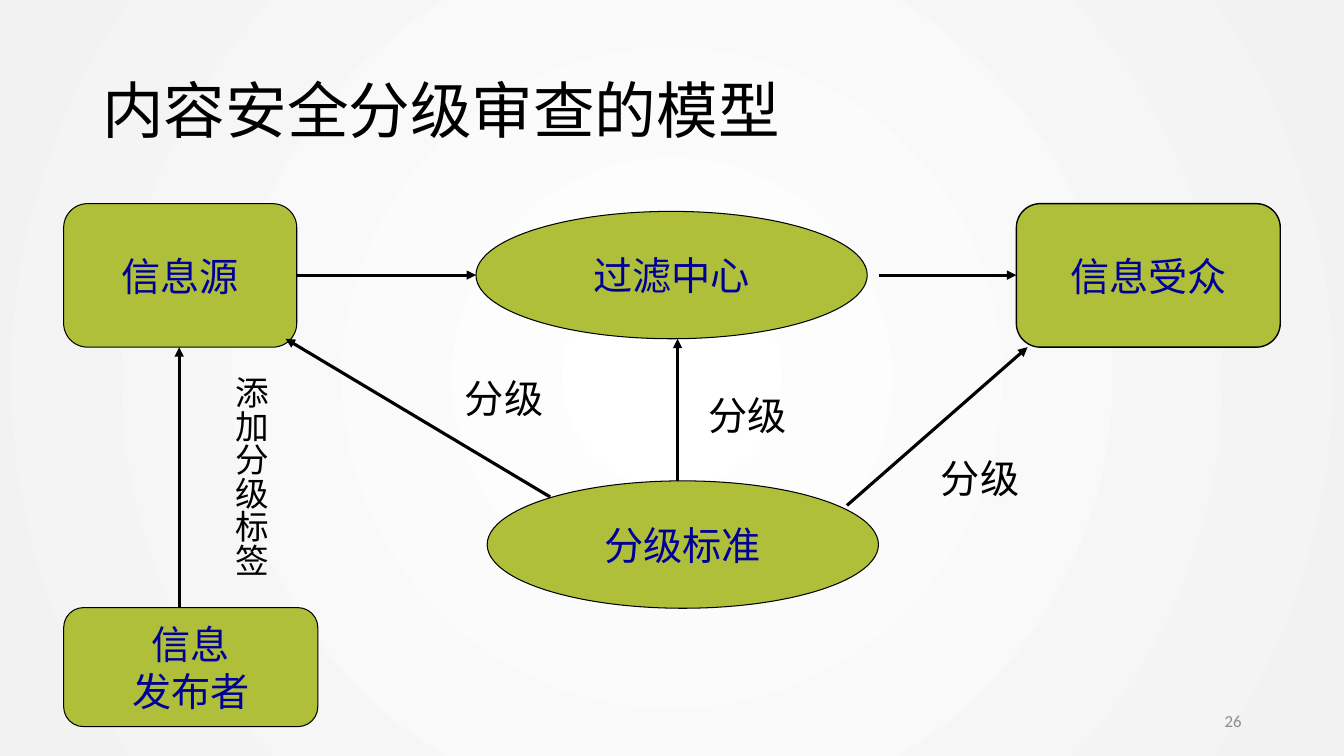
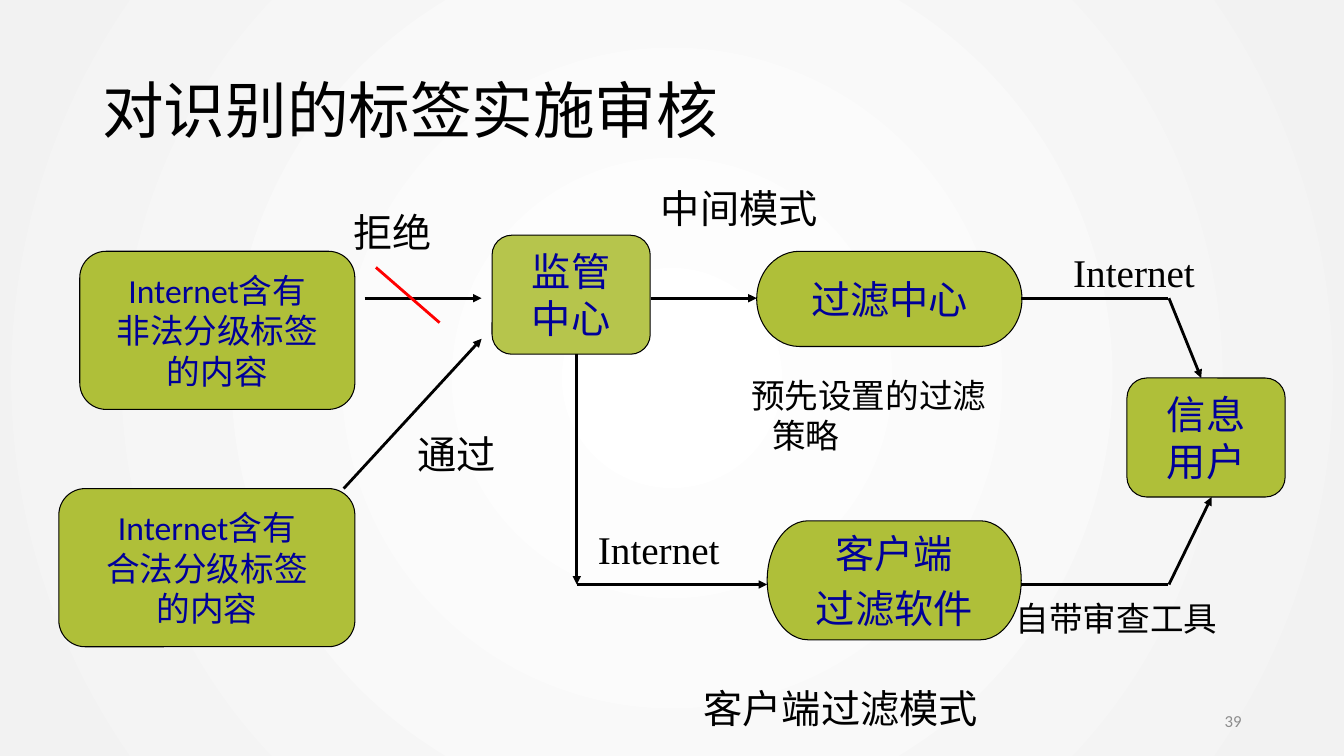
from dataclasses import dataclass

from pptx import Presentation
from pptx.dml.color import RGBColor
from pptx.enum import shapes, text
from pptx.oxml.ns import qn
from pptx.oxml.xmlchemy import OxmlElement
from pptx.util import Pt

KIND = shapes.MSO_SHAPE
ALIGN = text.PP_ALIGN
MID = text.MSO_ANCHOR.MIDDLE


@dataclass(frozen=True)
class Theme:
    black: RGBColor = RGBColor(0, 0, 0)
    white: RGBColor = RGBColor(255, 255, 255)
    edge: RGBColor = RGBColor(0xF2, 0xF2, 0xF2)
    green: RGBColor = RGBColor(0xAF, 0xBF, 0x39)
    navy: RGBColor = RGBColor(0, 0, 0x99)
    red: RGBColor = RGBColor(255, 0, 0)
    gray: RGBColor = RGBColor(0x8C, 0x8C, 0x8C)
    sans: str = "Calibri"
    serif: str = "Times New Roman"
    head: int = 44
    big: int = 28
    mid: int = 24
    foot: int = 12


T = Theme()


def node(up, tag, **attrs):
    """Append a child element with the given attributes."""
    kid = OxmlElement(tag)
    for key, val in attrs.items():
        kid.set(key, str(val))
    up.append(kid)
    return kid


def write(shape, words, size, color, font, align=ALIGN.LEFT):
    frame = shape.text_frame
    frame.text = words
    for para in frame.paragraphs:
        para.alignment = align
        for run in para.runs:
            run.font.size = Pt(size)
            run.font.name = font
            run.font.color.rgb = color
    return frame


def label(slide, words, x, y, wide, high=41, size=T.big, color=T.black,
          font=T.serif, align=ALIGN.LEFT):
    area = slide.shapes.add_textbox(Pt(x), Pt(y), Pt(wide), Pt(high))
    frame = write(area, words, size, color, font, align)
    frame.word_wrap = True
    return frame


def hang(frame, left, first):
    """Indent the lines by left, and the first line by left + first."""
    for para in frame.paragraphs:
        props = para._p.get_or_add_pPr()
        props.set("marL", str(Pt(left)))
        props.set("indent", str(Pt(first)))


def box(slide, kind, words, x, y, wide, high, size=T.big, font=T.sans,
        gap=0, edge=0.75, alpha=None):
    shape = slide.shapes.add_shape(kind, Pt(x), Pt(y), Pt(wide), Pt(high))
    shape.shadow.inherit = False
    shape.fill.solid()
    shape.fill.fore_color.rgb = T.green
    if alpha:
        tint = shape.element.spPr.find(qn("a:solidFill"))[0]
        node(tint, "a:alpha", val=alpha * 1000)
    shape.line.color.rgb = T.black
    shape.line.width = Pt(edge)
    frame = write(shape, words, size, T.navy, font, ALIGN.CENTER)
    frame.word_wrap = False
    frame.vertical_anchor = MID
    for para in frame.paragraphs[1:]:
        para.space_before = Pt(gap)


def line(slide, start, end, width, color=T.black, arrow=True):
    link = slide.shapes.add_connector(
        shapes.MSO_CONNECTOR.STRAIGHT, *map(Pt, start + end))
    link.line.color.rgb = color
    link.line.width = Pt(width)
    props = link.element.spPr
    if arrow:
        node(props.find(qn("a:ln")), "a:tailEnd", type="triangle")
    node(props, "a:effectLst")


def backdrop(master):
    """Give all slides a round gradient that darkens outwards."""
    fill = master.background.fill
    fill.gradient()
    for stop, color, spot in zip(fill.gradient_stops, (T.white, T.edge), (0, 1)):
        stop.color.rgb = color
        stop.position = spot
    grad = master.element.find(".//" + qn("a:gradFill"))
    for old in grad.findall(qn("a:lin")):
        grad.remove(old)
    path = node(grad, "a:path", path="circle")
    node(path, "a:fillToRect", l=50000, t=50000, r=50000, b=50000)


def page(deck, title, number):
    slide = deck.slides.add_slide(deck.slide_layouts[6])
    head = label(slide, title, 66, 29, 828, 104, T.head, font=T.sans)
    head.vertical_anchor = MID
    head.paragraphs[0].line_spacing = 0.9
    foot = label(slide, number, 678, 500, 216, 29, T.foot, T.gray, T.sans,
                 ALIGN.RIGHT)
    foot.vertical_anchor = MID
    return slide


def model(deck):
    slide = page(deck, "内容安全分级审查的模型", "26")
    row = 196.5
    oval, card = KIND.OVAL, KIND.ROUNDED_RECTANGLE
    box(slide, oval, "过滤中心", 340, 151, 279.5, 91)
    box(slide, card, "信息源", 45.5, 145.5, 166.5, 102.5)
    box(slide, card, "信息\n发布者", 45.5, 434, 181.5, 85)
    box(slide, card, "信息受众", 726, 145.5, 188.5, 102.5, edge=1)
    box(slide, oval, "分级标准", 348, 343.5, 279.5, 91)

    for start, end in (
        ((128, 434), (128, 248)),
        ((393, 355), (204, 242)),
        ((212, row), (340, row)),
        ((484, 343.5), (484, 242)),
        ((628, row), (726, row)),
        ((605, 361), (734, 248)),
    ):
        line(slide, start, end, 2.25)

    tag = label(slide, "添加分级标签", 153.5, 261.5, 44, 165, T.mid)
    tag._txBody.bodyPr.set("vert", "eaVert")
    for x, y in ((325, 264), (665, 321), (499, 276)):
        label(slide, "分级", x, y, 98.5)


def review(deck):
    slide = page(deck, "对识别的标签实施审核", "39")
    top, low = 213, 417.5
    card, pill = KIND.ROUNDED_RECTANGLE, KIND.FLOWCHART_TERMINATOR
    for kind, x, y, wide in (("非法", 57, 179.5, 196.5),
                             ("合法", 42, 349, 211.5)):
        box(slide, card, f"Internet含有\n{kind}分级标签\n的内容",
            x, y, wide, 113, T.mid)
    box(slide, card, "监管\n中心", 351.5, 168, 113, 85, alpha=90)
    box(slide, card, "信息\n用户", 805, 270, 113, 85)
    box(slide, pill, "客户端\n过滤软件", 548, 372, 181.5, 85,
        font=T.serif, gap=5.6)
    box(slide, pill, "过滤中心", 540.5, 179.5, 189.5, 68, font=T.serif)

    for start, end in (
        ((245.5, 349), (344, 242)),
        ((260.5, top), (344, top)),
        ((412, 253), (412, low)),
        ((412, low), (548, low)),
        ((465, top), (540.5, top)),
        ((835, top), (858, 270)),
        ((835, low), (865.5, 355)),
    ):
        line(slide, start, end, 2)
    for y in (top, low):
        line(slide, (729.5, y), (834, y), 2, arrow=False)
    line(slide, (314, 230.5), (268.5, 191), 2, T.red, arrow=False)

    for words, x, y, wide in (
        ("中间模式", 465, 128, 181.5),
        ("客户端过滤模式", 495.5, 485, 294.5),
        ("拒绝", 245.5, 145.5, 98.5),
        ("Internet", 759.5, 173.5, 151),
        ("Internet", 420, 372, 151),
        ("通过", 291, 304, 98.5),
    ):
        label(slide, words, x, y, wide)
    rule = label(slide, "预先设置的过滤策略", 517.5, 264, 196.5, 65.5, T.mid)
    hang(rule, 27, -15)
    label(slide, "自带审查工具", 718.5, 423.5, 170, 36, T.mid)


def main():
    deck = Presentation()
    deck.slide_width, deck.slide_height = Pt(960), Pt(540)
    backdrop(deck.slide_master)
    model(deck)
    review(deck)
    deck.save("out.pptx")


if __name__ == "__main__":
    main()
